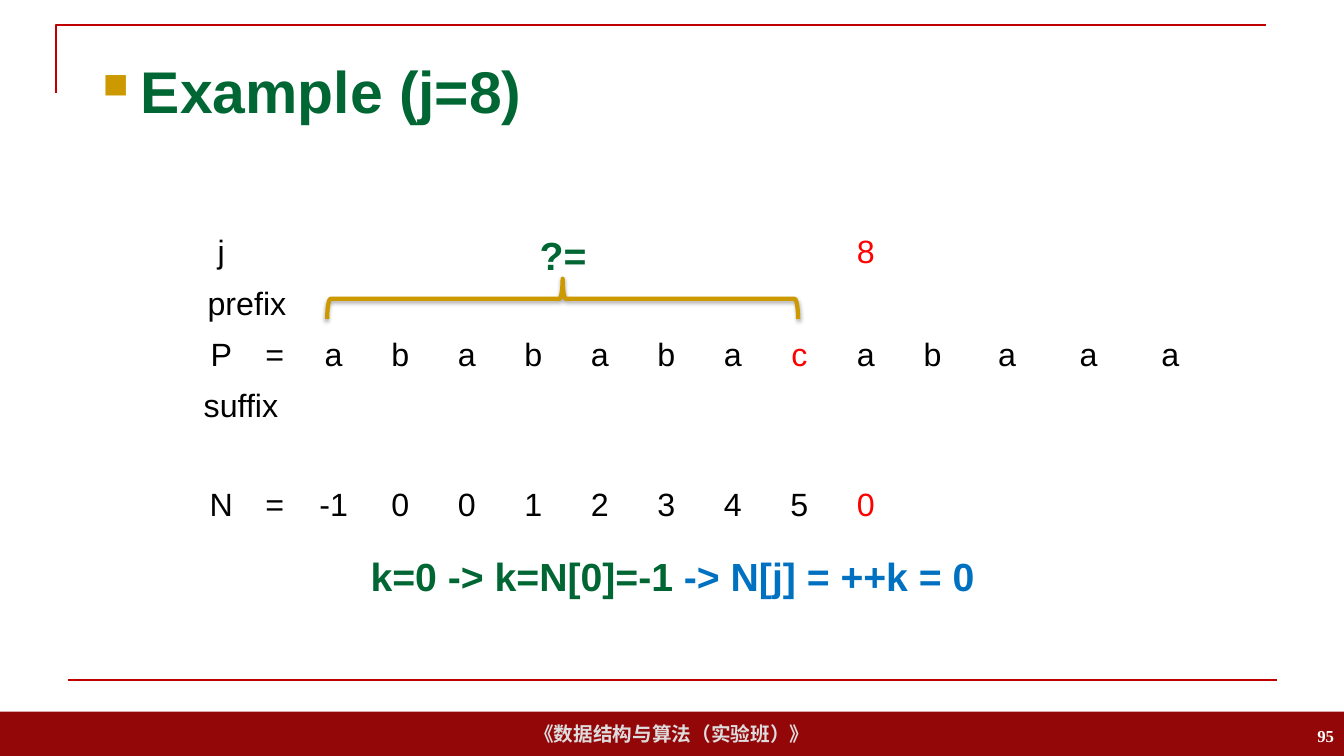
import pptx
import pptx.util
import pptx.dml.color
import pptx.enum.shapes
import pptx.enum.text
import pptx.oxml
import pptx.oxml.ns

Inches = pptx.util.Inches
Pt = pptx.util.Pt
ALIGN = pptx.enum.text.PP_ALIGN
ANCHOR = pptx.enum.text.MSO_ANCHOR
SHAPE = pptx.enum.shapes.MSO_SHAPE
NS = pptx.oxml.ns.nsdecls("a")

GREEN, BLUE, GOLD, RED = "006633", "0070C0", "CC9900", "FF0000"
RULE, BAND = "C00000", "940709"

TITLE = "Example (j=8)"
STEPS = [("k=0 -> k=N[0]=-1 ", GREEN), ("-> N[j] = ++k = 0", BLUE)]
QUESTION = "?="
COURSE = "《数据结构与算法（实验班）》"
PAGE = "95"
ROWS = [
    ["j"] + [""] * 9 + ["8"],
    ["prefix"],
    ["P", "="] + list("abababacabaaa"),
    ["suffix"],
    [],
    ["N", "=", "-1", "0", "0", "1", "2", "3", "4", "5", "0"],
]
MERGES = {1: 1, 3: 2}
RED_CELLS = {(0, 10), (2, 9), (5, 10)}
COLUMN_WIDTHS = [0.55, 0.51] + [0.66] * 10 + [0.82, 0.8, 0.82]
ROW_HEIGHTS = [0.51] * 4 + [0.47, 0.51]


def rgb(value):
    return pptx.dml.color.RGBColor.from_string(value)


def write(frame, text, size=28, color=GREEN, bold=True, font="Arial",
          align=ALIGN.CENTER, anchor=ANCHOR.TOP):
    frame.word_wrap = True
    frame.vertical_anchor = anchor
    paragraph = frame.paragraphs[0]
    paragraph.alignment = align
    parts = [(text, color)] if isinstance(text, str) else text
    for part, part_color in parts:
        run = paragraph.add_run()
        run.text = part
        run.font.name = font
        run.font.size = Pt(size)
        run.font.bold = bold
        run.font.color.rgb = rgb(part_color)
    return paragraph


def add_text(box, text, **style):
    frame = slide.shapes.add_textbox(*map(Inches, box)).text_frame
    return write(frame, text, **style)


def outline(shape, color, width):
    shape.line.color.rgb = rgb(color)
    shape.line.width = Pt(width)


deck = pptx.Presentation()
deck.slide_width, deck.slide_height = Inches(13.33), Inches(7.5)
slide = deck.slides.add_slide(deck.slide_layouts[6])

footer = slide.shapes.add_shape(SHAPE.RECTANGLE, *map(Inches, (0, 7.06, 13.33, 0.44)))
footer.shadow.inherit = False
footer.fill.solid()
footer.fill.fore_color.rgb = rgb(BAND)
footer.line.fill.background()
write(footer.text_frame, COURSE, size=14, color="DDDDDD", anchor=ANCHOR.MIDDLE)

builder = slide.shapes.build_freeform(Inches(0.56), Inches(0.92))
builder.add_line_segments([(Inches(0.56), Inches(0.25)), (Inches(12.56), Inches(0.25))],
                          close=False)
corner = builder.convert_to_shape()
corner.shadow.inherit = False
corner.fill.background()
outline(corner, RULE, 1.5)

bottom_rule = slide.shapes.add_connector(
    pptx.enum.shapes.MSO_CONNECTOR.STRAIGHT, *map(Inches, (0.67, 6.75, 12.67, 6.75)))
outline(bottom_rule, RULE, 1.5)
bottom_rule._element.spPr.append(pptx.oxml.parse_xml(f"<a:effectLst {NS}/>"))

heading = add_text((0.92, 0.4, 11.5, 0.99), TITLE, size=42, align=ALIGN.LEFT,
                   anchor=ANCHOR.MIDDLE)
indent = Inches(0.38)
heading_format = heading._p.get_or_add_pPr()
heading_format.set("marL", str(indent))
heading_format.set("indent", str(-indent))
for bullet in (f'<a:buClr {NS}><a:srgbClr val="{GOLD}"/></a:buClr>',
               f'<a:buSzPct {NS} val="60000"/>',
               f'<a:buFont {NS} typeface="Wingdings" charset="2"/>',
               f'<a:buChar {NS} char="n"/>'):
    heading_format.append(pptx.oxml.parse_xml(bullet))

add_text((2.88, 5.43, 7.58, 0.57), STEPS)

table = slide.shapes.add_table(
    len(ROWS), len(COLUMN_WIDTHS), Inches(1.92), Inches(2.25),
    Inches(sum(COLUMN_WIDTHS)), Inches(sum(ROW_HEIGHTS))).table
table.first_row = table.horz_banding = False
for column, width in zip(table.columns, COLUMN_WIDTHS):
    column.width = Inches(width)
for row, height in zip(table.rows, ROW_HEIGHTS):
    row.height = Inches(height)
for r, values in enumerate(ROWS):
    for c in range(len(COLUMN_WIDTHS)):
        cell = table.cell(r, c)
        cell.fill.background()
        properties = cell._tc.get_or_add_tcPr()
        for position, side in enumerate(("lnL", "lnR", "lnT", "lnB")):
            properties.insert(position, pptx.oxml.parse_xml(
                f'<a:{side} {NS} w="0"><a:noFill/></a:{side}>'))
        if c < len(values) and values[c]:
            cell.vertical_anchor = ANCHOR.MIDDLE
            write(cell.text_frame, values[c], size=23, bold=False,
                  color=RED if (r, c) in RED_CELLS else "000000",
                  align=ALIGN.LEFT if values[c] == "suffix" else ALIGN.CENTER,
                  anchor=None)
for r, last in MERGES.items():
    table.cell(r, 0).merge(table.cell(r, last))

brace = slide.shapes.add_shape(SHAPE.LEFT_BRACE, *map(Inches, (5.38, 0.63, 0.4, 4.67)))
brace.rotation = 90
brace.fill.background()
outline(brace, GOLD, 3)
brace.shadow.inherit = False
brace._element.spPr.find(pptx.oxml.ns.qn("a:effectLst")).append(pptx.oxml.parse_xml(
    f'<a:outerShdw {NS} blurRad="{Pt(3.1)}" dist="{Pt(1.8)}" dir="5400000" rotWithShape="0">'
    '<a:srgbClr val="000000"><a:alpha val="35000"/></a:srgbClr></a:outerShdw>'))

add_text((4.92, 2.25, 1.33, 0.57), QUESTION)
add_text((10.33, 7.1, 3, 0.4), PAGE, size=12, color="FFFFFF", font="Times New Roman",
         align=ALIGN.RIGHT, anchor=ANCHOR.MIDDLE)

deck.save("out.pptx")
